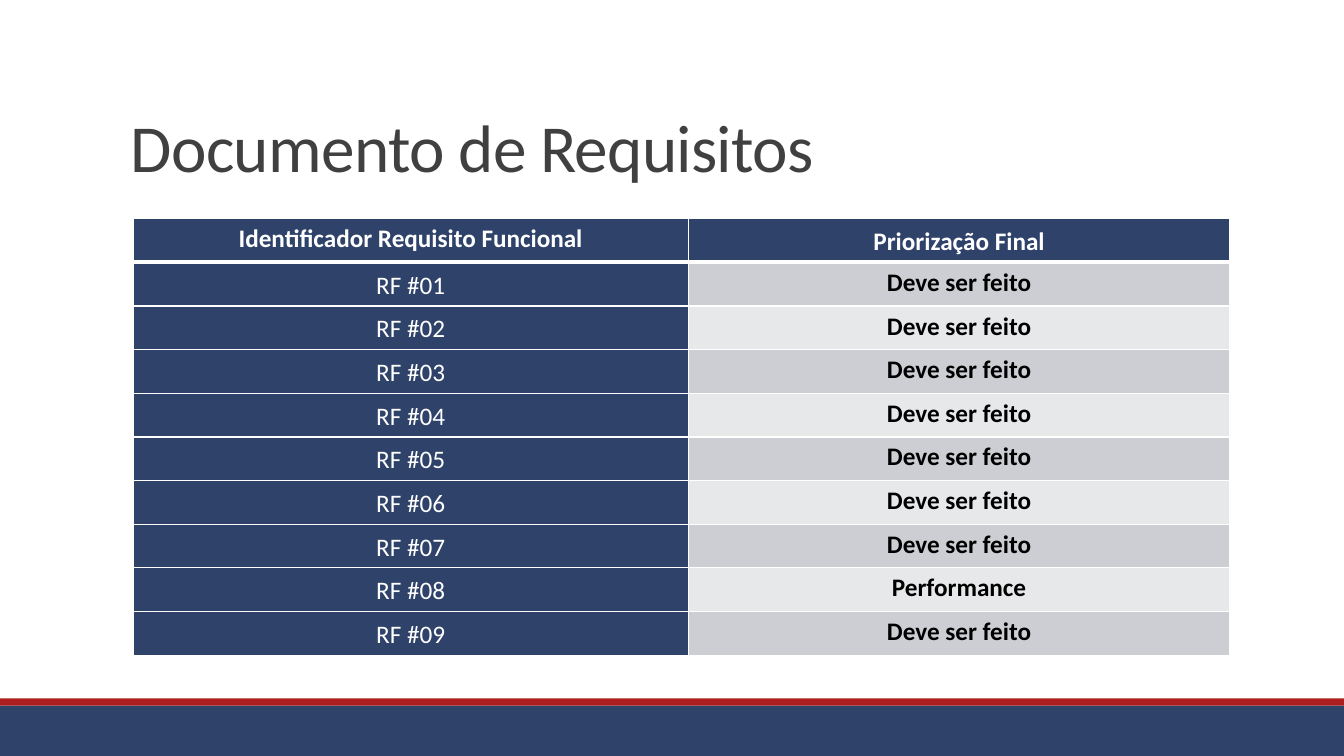
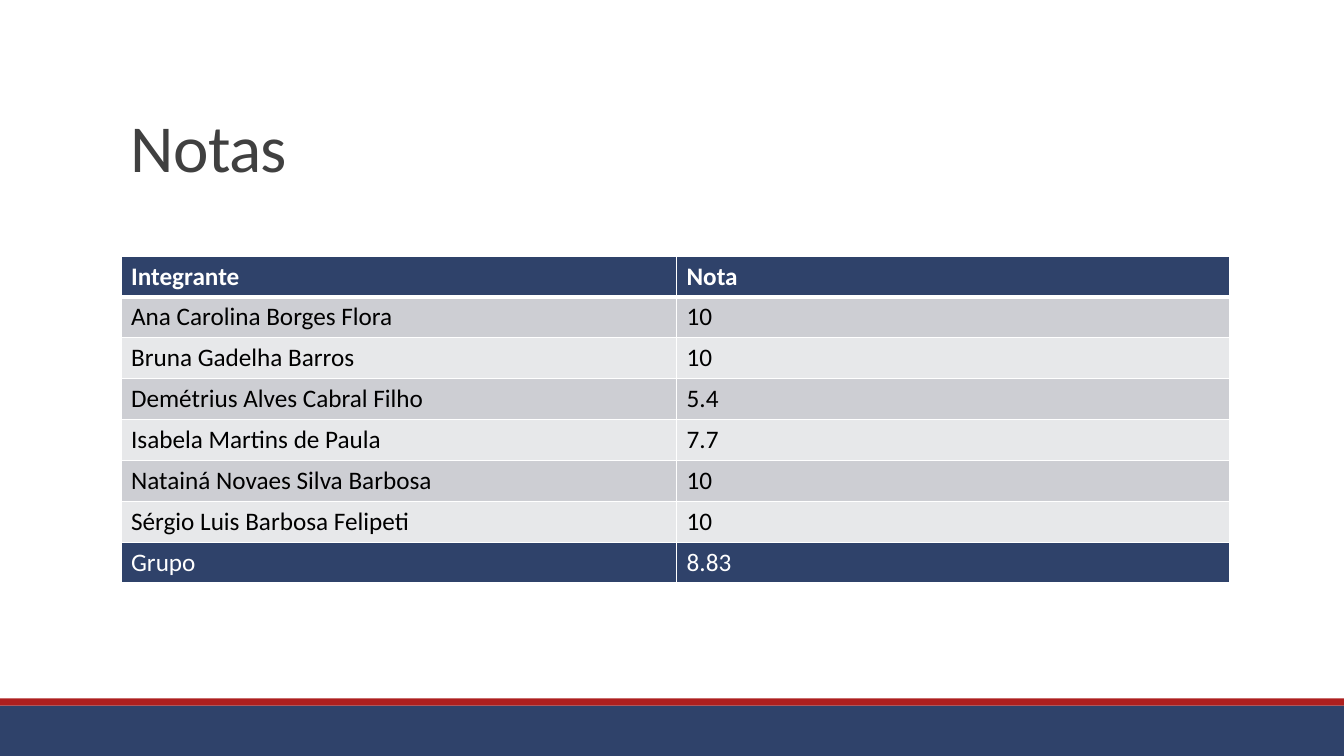
from dataclasses import dataclass

from lxml.etree import SubElement
from pptx import Presentation
from pptx.dml.color import RGBColor
from pptx.enum.shapes import MSO_SHAPE
from pptx.enum.text import MSO_ANCHOR, PP_ALIGN
from pptx.oxml.ns import qn
from pptx.slide import Slide
from pptx.table import _Cell
from pptx.text.text import TextFrame
from pptx.util import Cm, Pt

COLORS = {
    "navy": "2F426A",
    "red": "AD1F1F",
    "title": "404040",
    "white": "FFFFFF",
    "black": "000000",
    "dark_band": "CDCED3",
    "light_band": "E7E8EA",
}
FONT = "Calibri"
SLIDE_W, SLIDE_H = 33.87, 19.05
THIN, THICK = 0.96, 3


@dataclass(frozen=True)
class Band:
    top: float
    height: float
    color: str


@dataclass(frozen=True)
class CellText:
    text: str
    fill: str
    color: str = "white"
    bold: bool = False
    lowered: bool = False


@dataclass(frozen=True)
class Grid:
    left: float
    top: float
    widths: tuple[float, ...]
    row_height: float
    align: PP_ALIGN
    rows: list[list[CellText]]


BANDS = (Band(17.78, 1.27, "navy"), Band(17.6, 0.18, "red"))


def rgb(name: str) -> RGBColor:
    return RGBColor.from_string(COLORS[name])


def write(tf: TextFrame, text: str, *, size: float = 18, color: str = "black",
          bold: bool = False, align: PP_ALIGN = PP_ALIGN.LEFT,
          line_spacing: float | None = None, tracking: float = 0) -> None:
    p = tf.paragraphs[0]
    p.alignment = align
    p.line_spacing = line_spacing
    r = p.add_run()
    r.text = text
    r.font.name = FONT
    r.font.size = Pt(size)
    r.font.bold = bold
    r.font.color.rgb = rgb(color)
    if tracking:
        r.font._element.set("spc", str(round(tracking * 100)))


def add_border(cell: _Cell, side: str, width: float) -> None:
    ln = SubElement(cell._tc.get_or_add_tcPr(), qn(f"a:ln{side}"), w=str(Pt(width)))
    fill = SubElement(ln, qn("a:solidFill"))
    SubElement(fill, qn("a:srgbClr"), val=COLORS["white"])


def add_base_slide(prs: Presentation, title: str) -> Slide:
    s = prs.slides.add_slide(prs.slide_layouts[6])
    for band in BANDS:
        sp = s.shapes.add_shape(MSO_SHAPE.RECTANGLE, 0, Cm(band.top),
                                Cm(SLIDE_W), Cm(band.height))
        sp.shadow.inherit = False
        sp.fill.solid()
        sp.fill.fore_color.rgb = rgb(band.color)
        sp.line.fill.background()
    tf = s.shapes.add_textbox(Cm(3.05), Cm(0.79), Cm(27.94), Cm(4.04)).text_frame
    tf.word_wrap = True
    tf.vertical_anchor = MSO_ANCHOR.BOTTOM
    write(tf, title, size=48, color="title", line_spacing=0.85, tracking=-0.5)
    return s


def add_grid(s: Slide, grid: Grid) -> None:
    count = len(grid.rows)
    table = s.shapes.add_table(count, len(grid.widths), Cm(grid.left), Cm(grid.top),
                               Cm(sum(grid.widths)), Cm(count * grid.row_height)).table
    table.horz_banding = False
    for column, width in zip(table.columns, grid.widths):
        column.width = Cm(width)
    for i, (row, items) in enumerate(zip(table.rows, grid.rows)):
        row.height = Cm(grid.row_height)
        for cell, item in zip(row.cells, items):
            top_width = THICK if i == 1 else THIN
            bottom_width = THICK if i == 0 else THIN
            for side, width in zip("LRTB", (THIN, THIN, top_width, bottom_width)):
                add_border(cell, side, width)
            cell.fill.solid()
            cell.fill.fore_color.rgb = rgb(item.fill)
            if item.lowered:
                cell.margin_top, cell.margin_bottom = Cm(0.2), Cm(0.05)
            write(cell.text_frame, item.text, color=item.color, bold=item.bold,
                  align=grid.align)


def band_fill(index: int) -> str:
    return "light_band" if index % 2 else "dark_band"


def requirements_grid() -> Grid:
    priorities = ["Deve ser feito"] * 7 + ["Performance", "Deve ser feito"]
    rows = [[CellText("Identificador Requisito Funcional", "navy", bold=True),
             CellText("Priorização Final", "navy", bold=True, lowered=True)]]
    for i, priority in enumerate(priorities):
        rows.append([CellText(f"RF #{i + 1:02}", "navy", lowered=True),
                     CellText(priority, band_fill(i), "black", bold=True)])
    return Grid(3.35, 5.51, (14, 13.64), 1.1, PP_ALIGN.CENTER, rows)


def grades_grid() -> Grid:
    grades = [
        ("Ana Carolina Borges Flora", "10"),
        ("Bruna Gadelha Barros", "10"),
        ("Demétrius Alves Cabral Filho", "5.4"),
        ("Isabela Martins de Paula", "7.7"),
        ("Natainá Novaes Silva Barbosa", "10"),
        ("Sérgio Luis Barbosa Felipeti", "10"),
    ]
    rows = [[CellText(t, "navy", bold=True) for t in ("Integrante", "Nota")]]
    for i, grade in enumerate(grades):
        rows.append([CellText(t, band_fill(i), "black") for t in grade])
    rows.append([CellText(t, "navy") for t in ("Grupo", "8.83")])
    return Grid(3.05, 6.45, (14, 13.94), 1.03, PP_ALIGN.LEFT, rows)


def main() -> None:
    prs = Presentation()
    prs.slide_width, prs.slide_height = Cm(SLIDE_W), Cm(SLIDE_H)
    add_grid(add_base_slide(prs, "Documento de Requisitos"), requirements_grid())
    add_grid(add_base_slide(prs, "Notas"), grades_grid())
    prs.save("out.pptx")


if __name__ == "__main__":
    main()
